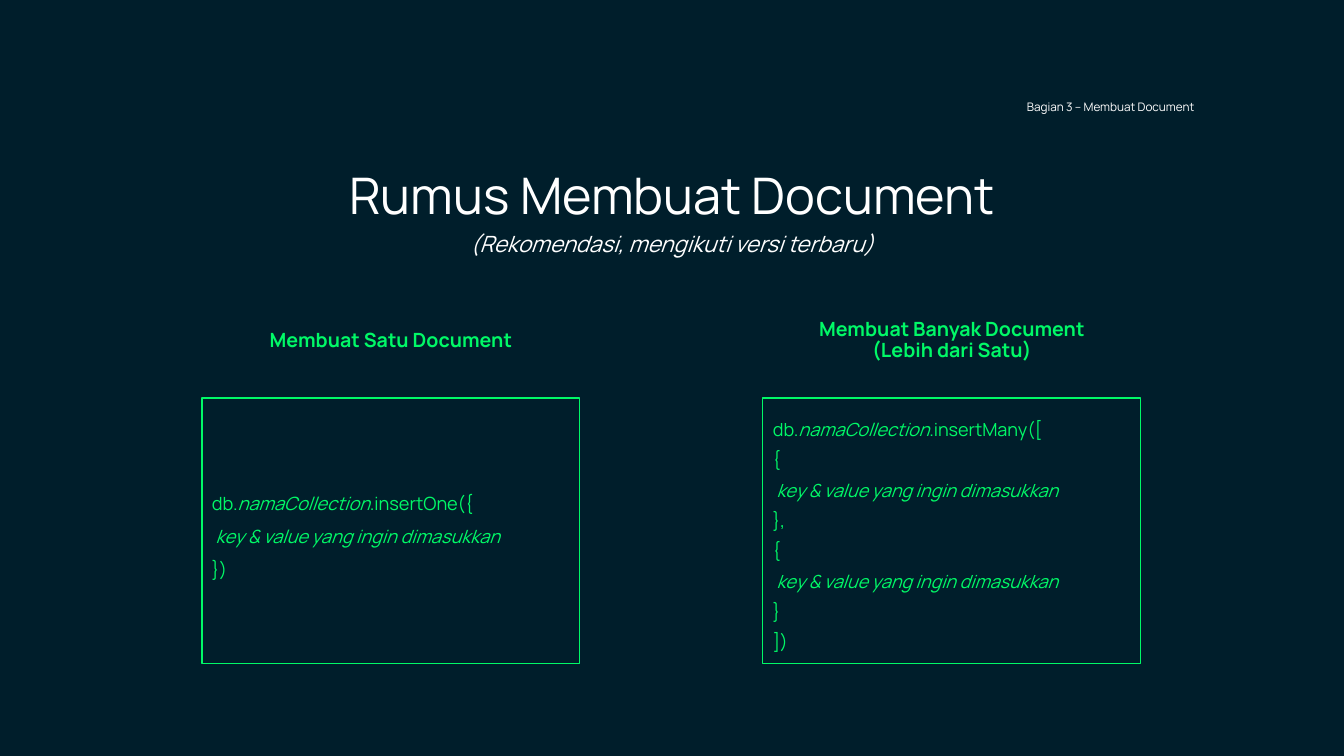
from dataclasses import dataclass

from pptx import Presentation
from pptx.dml.color import RGBColor
from pptx.enum.shapes import MSO_SHAPE
from pptx.enum.text import MSO_ANCHOR as ANCHOR, PP_ALIGN as ALIGN
from pptx.util import Pt


@dataclass(frozen=True)
class Theme:
    font: str = "Manrope"
    background: RGBColor = RGBColor(0x00, 0x1E, 0x2B)
    white: RGBColor = RGBColor(0xFF, 0xFF, 0xFF)
    green: RGBColor = RGBColor(0x00, 0xF9, 0x67)
    section: float = 8.4
    title: float = 36
    subtitle: float = 16
    heading: float = 14


THEME = Theme()
SLIDE_W, SLIDE_H = 1344, 756
EMU_PER_PX = 914400 / 100.8


def px(*lengths):
    """Turn pixel lengths into EMU."""
    return [round(n * EMU_PER_PX) for n in lengths]


def write(s, lines, size, color, spacing, align=ALIGN.CENTER,
          anchor=ANCHOR.MIDDLE, bold=False):
    """Fill a shape with lines, each a list of (text, italic) runs."""
    tf = s.text_frame
    tf.word_wrap = True
    tf.vertical_anchor = anchor
    for i, line in enumerate(lines):
        p = tf.add_paragraph() if i else tf.paragraphs[0]
        p.alignment = align
        p.line_spacing = spacing
        p.space_before = Pt(0)
        for text, italic in line:
            r = p.add_run()
            r.text = text
            r.font.name = THEME.font
            r.font.size = Pt(size)
            r.font.bold = bold
            r.font.italic = italic
            r.font.color.rgb = color


prs = Presentation()
prs.slide_width, prs.slide_height = px(SLIDE_W, SLIDE_H)
slide = prs.slides.add_slide(prs.slide_layouts[5])
slide.background.fill.solid()
slide.background.fill.fore_color.rgb = THEME.background
shapes = slide.shapes

# Section label, title and subtitle
section = shapes.add_textbox(*px(1017, 98, 282, 22))
write(section, [[("Bagian 3 – Membuat Document", False)]], THEME.section,
      THEME.white, 0.8, ALIGN.LEFT, ANCHOR.TOP)

title = shapes.title
title.left, title.top, title.width, title.height = px(231, 141, 882, 114)
write(title, [[("Rumus Membuat Document", False)]], THEME.title, THEME.white, 0.9)

subtitle = shapes.add_textbox(*px(231, 220, 882, 51))
write(subtitle, [[("(Rekomendasi, mengikuti versi terbaru)", True)]],
      THEME.subtitle, THEME.white, 0.9)

# Two columns: a heading above a framed code formula
FIELDS = [(" ", False), ("key & value yang ingin dimasukkan", True)]
COLLECTION = [("db.", False), ("namaCollection", True)]
insert_one = [COLLECTION + [(".insertOne({", False)], FIELDS, [("})", False)]]
insert_many = [
    COLLECTION + [(".insertMany([", False)],
    [("{", False)], FIELDS, [("},", False)],
    [("{", False)], FIELDS, [("}", False)],
    [("])", False)],
]
columns = [
    (202, ["Membuat Satu Document"], insert_one, 13, 1.5),
    (763, ["Membuat Banyak Document", "(Lebih dari Satu)"], insert_many, 12.9, 1.4),
]
COLUMN_W, HEADING_Y, HEADING_H, CODE_Y, CODE_H = 378, 284, 114, 398, 266

for x, heading_lines, code_lines, code_size, spacing in columns:
    heading = shapes.add_textbox(*px(x, HEADING_Y, COLUMN_W, HEADING_H))
    write(heading, [[(text, False)] for text in heading_lines], THEME.heading,
          THEME.green, 0.9, bold=True)

    code = shapes.add_shape(MSO_SHAPE.RECTANGLE, *px(x, CODE_Y, COLUMN_W, CODE_H))
    code.shadow.inherit = False
    code.fill.background()
    code.line.color.rgb = THEME.green
    code.line.width = Pt(0.75)
    write(code, code_lines, code_size, THEME.green, spacing, ALIGN.LEFT)

prs.save("out.pptx")
